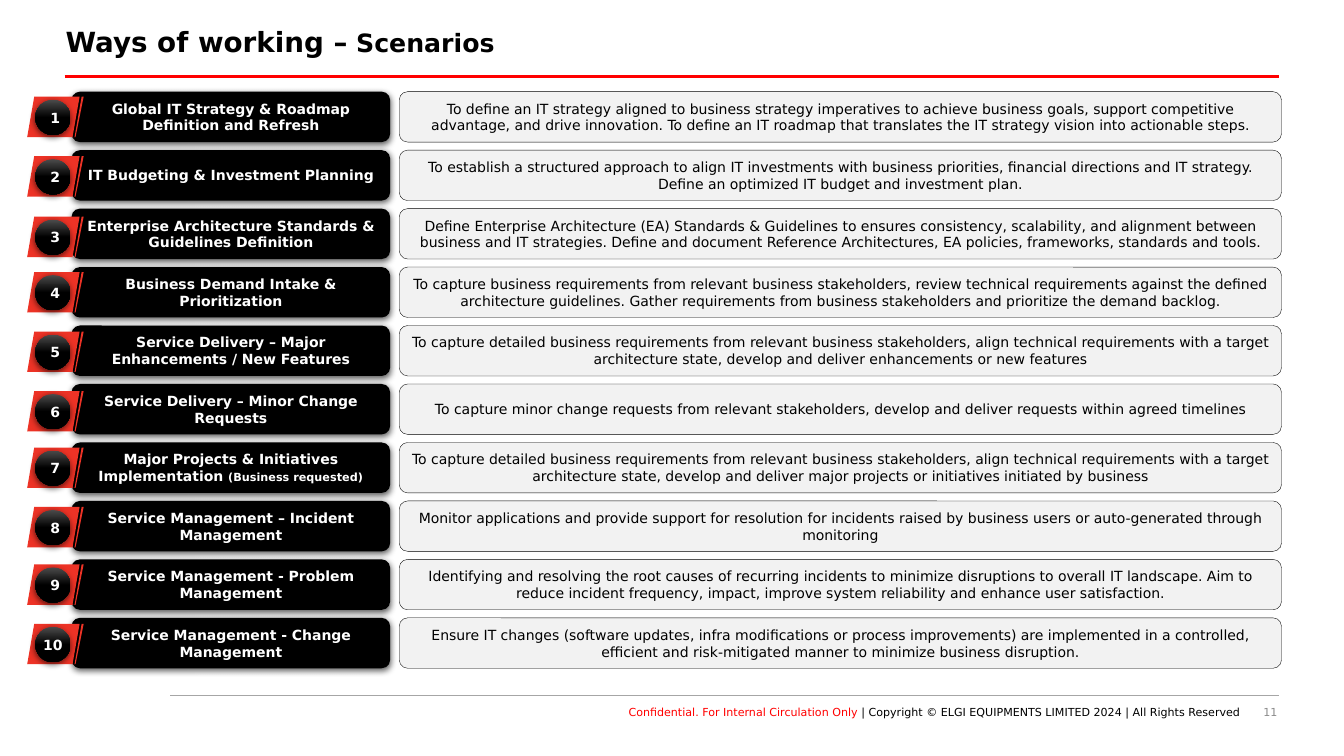
"""Build the 'Ways of working – Scenarios' slide with ten numbered scenarios."""
from dataclasses import dataclass

from lxml.etree import SubElement
from pptx import Presentation
from pptx.dml.color import RGBColor
from pptx.enum.shapes import MSO_CONNECTOR, MSO_SHAPE
from pptx.enum.text import MSO_ANCHOR, MSO_AUTO_SIZE, PP_ALIGN
from pptx.oxml.ns import qn
from pptx.shapes.autoshape import Shape
from pptx.slide import Slide
from pptx.util import Inches, Pt

FONT = "DejaVu Sans"
BLACK, WHITE, RED = "000000", "FFFFFF", "FF0000"
BADGE_RED, PANEL_GREY, RULE_GREY, NUMBER_GREY = "ED3326", "F2F2F2", "A6A6A6", "8C8C8C"
FIRST_ROW, ROW_STEP, ROW_HEIGHT = 0.91, 0.58, 0.5
BADGE_HEIGHT, BALL_OFFSET, BALL_SIZE = 0.4, 0.03, 0.35
TAG_OUTLINE = [(0.81, 0), (0.74, 1), (0.72, 1), (0.79, 0),
               (0.34, 0), (0.27, 1), (0.75, 1), (0.83, 0)]


@dataclass
class Words:
    text: str
    size: float = 10
    color: str = BLACK
    bold: bool = False


@dataclass
class Scenario:
    badge_top: float
    name: str
    purpose: str
    remark: str = ""


SCENARIOS = [
    Scenario(0.96, "Global IT Strategy & Roadmap Definition and Refresh",
             "To define an IT strategy aligned to business strategy imperatives to achieve business goals, "
             "support competitive advantage, and drive innovation. To define an IT roadmap that translates "
             "the IT strategy vision into actionable steps."),
    Scenario(1.55, "IT Budgeting & Investment Planning",
             "To establish a structured approach to align IT investments with business priorities, financial "
             "directions and IT strategy. Define an optimized IT budget and investment plan."),
    Scenario(2.15, "Enterprise Architecture Standards & Guidelines Definition",
             "Define Enterprise Architecture (EA) Standards & Guidelines to ensures consistency, scalability, "
             "and alignment between business and IT strategies. Define and document Reference Architectures, "
             "EA policies, frameworks, standards and tools."),
    Scenario(2.7, "Business Demand Intake & Prioritization",
             "To capture business requirements from relevant business stakeholders, review technical "
             "requirements against the defined architecture guidelines. Gather requirements from business "
             "stakeholders and prioritize the demand backlog."),
    Scenario(3.29, "Service Delivery – Major Enhancements / New Features",
             "To capture detailed business requirements from relevant business stakeholders, align technical "
             "requirements with a target architecture state, develop and deliver enhancements or new features"),
    Scenario(3.88, "Service Delivery – Minor Change Requests",
             "To capture minor change requests from relevant stakeholders, develop and deliver requests "
             "within agreed timelines"),
    Scenario(4.44, "Major Projects & Initiatives Implementation ",
             "To capture detailed business requirements from relevant business stakeholders, align technical "
             "requirements with a target architecture state, develop and deliver major projects or "
             "initiatives initiated by business",
             "(Business requested)"),
    Scenario(5.03, "Service Management – Incident Management",
             "Monitor applications and provide support for resolution for incidents raised by business users "
             "or auto-generated through monitoring"),
    Scenario(5.6, "Service Management - Problem Management",
             "Identifying and resolving the root causes of recurring incidents to minimize disruptions to "
             "overall IT landscape. Aim to reduce incident frequency, impact, improve system reliability "
             "and enhance user satisfaction."),
    Scenario(6.19, "Service Management - Change Management",
             "Ensure IT changes (software updates, infra modifications or process improvements) are "
             "implemented in a controlled, efficient and risk-mitigated manner to minimize business disruption."),
]


def rgb(color: str) -> RGBColor:
    """Turn a hex string into a colour."""
    return RGBColor.from_string(color)


def apply(target: object, values: dict) -> None:
    """Set every attribute in a dict of format values."""
    for name, value in values.items():
        setattr(target, name, value)


def write(holder: Shape, words: list[Words], align: PP_ALIGN, anchor: MSO_ANCHOR,
          margins: tuple[float, float, float, float] = (0.1, 0.05, 0.1, 0.05)) -> None:
    """Fill a shape with one paragraph of formatted runs."""
    left, top, right, bottom = map(Inches, margins)
    frame = holder.text_frame
    apply(frame, {"word_wrap": True, "auto_size": MSO_AUTO_SIZE.NONE, "vertical_anchor": anchor,
                  "margin_left": left, "margin_top": top, "margin_right": right, "margin_bottom": bottom})
    frame.paragraphs[0].alignment = align
    for part in words:
        run = frame.paragraphs[0].add_run()
        run.text = part.text
        apply(run.font, {"name": FONT, "size": Pt(part.size), "bold": part.bold})
        run.font.color.rgb = rgb(part.color)


def add_panel(slide: Slide, kind: MSO_SHAPE, left: float, top: float, width: float, height: float,
              fill: str, outline: str = "") -> Shape:
    """Add a flat preset shape, with a hairline if an outline colour is given."""
    panel = slide.shapes.add_shape(kind, Inches(left), Inches(top), Inches(width), Inches(height))
    paint(panel, fill)
    if outline:
        panel.line.color.rgb = rgb(outline)
        panel.line.width = Pt(0.25)
    return panel


def paint(panel: Shape, fill: str) -> None:
    """Give a shape a solid fill with no line and no shadow."""
    panel.fill.solid()
    panel.fill.fore_color.rgb = rgb(fill)
    panel.line.fill.background()
    panel.shadow.inherit = False


def cast_shadow(panel: Shape) -> None:
    """Add a soft black shadow below a shape."""
    effects = panel.element.spPr.find(qn("a:effectLst"))
    shadow = SubElement(effects, qn("a:outerShdw"), blurRad=str(Pt(4.5)), dist=str(Pt(1.5)),
                        dir="5400000", algn="ctr", rotWithShape="0")
    tint = SubElement(shadow, qn("a:srgbClr"), val=BLACK)
    SubElement(tint, qn("a:alpha"), val="63000")


def add_rule(slide: Slide, left: float, right: float, y: float, color: str, weight: float) -> None:
    """Draw a horizontal rule."""
    rule = slide.shapes.add_connector(MSO_CONNECTOR.STRAIGHT, Inches(left), Inches(y), Inches(right), Inches(y))
    rule.line.color.rgb = rgb(color)
    rule.line.width = Pt(weight)
    SubElement(rule.element.spPr, qn("a:effectLst"))


def add_footer(slide: Slide, left: float, width: float, words: list[Words]) -> None:
    """Add right-aligned footer text."""
    footer = slide.shapes.add_textbox(Inches(left), Inches(7), Inches(width), Inches(0.2))
    write(footer, words, PP_ALIGN.RIGHT, MSO_ANCHOR.TOP, (0, 0, 0, 0))


def add_bars(slide: Slide, row: int, scenario: Scenario) -> None:
    """Add the name bar and the purpose bar of a scenario."""
    top = FIRST_ROW + row * ROW_STEP
    name_bar = add_panel(slide, MSO_SHAPE.ROUNDED_RECTANGLE, 0.71, top, 3.16, ROW_HEIGHT, BLACK)
    cast_shadow(name_bar)
    words = [Words(scenario.name, color=WHITE, bold=True)]
    if scenario.remark:
        words.append(Words(scenario.remark, 8, WHITE, True))
    write(name_bar, words, PP_ALIGN.CENTER, MSO_ANCHOR.MIDDLE)
    purpose_bar = add_panel(slide, MSO_SHAPE.ROUNDED_RECTANGLE, 3.96, top, 8.75, ROW_HEIGHT, PANEL_GREY, BLACK)
    write(purpose_bar, [Words(scenario.purpose)], PP_ALIGN.CENTER, MSO_ANCHOR.MIDDLE)


def add_badge(slide: Slide, number: int, top: float) -> None:
    """Add the red slanted tag and the numbered ball."""
    corners = [(Inches(x), Inches(top + BADGE_HEIGHT * y)) for x, y in TAG_OUTLINE]
    outline = slide.shapes.build_freeform(*corners[0])
    outline.add_line_segments(corners[1:], close=True)
    paint(outline.convert_to_shape(), BADGE_RED)
    ball = add_panel(slide, MSO_SHAPE.OVAL, 0.35, top + BALL_OFFSET, BALL_SIZE, BALL_SIZE, BLACK)
    ball.fill.gradient()
    ball.fill.gradient_angle = 270
    for stop, (position, color) in zip(ball.fill.gradient_stops, [(0, "4B4B4B"), (0.5, BLACK)]):
        stop.position = position
        stop.color.rgb = rgb(color)
    cast_shadow(ball)
    margin = 0.1 if number < 10 else 0
    write(ball, [Words(str(number), color=WHITE, bold=True)], PP_ALIGN.CENTER, MSO_ANCHOR.MIDDLE, (margin,) * 4)


def main() -> None:
    """Build and save the slide."""
    deck = Presentation()
    apply(deck, {"slide_width": Inches(13.33), "slide_height": Inches(7.5)})
    slide = deck.slides.add_slide(deck.slide_layouts[5])
    add_footer(slide, 9.67, 3, [Words("11", 7.9, NUMBER_GREY)])
    add_footer(slide, 2.46, 9.84, [
        Words("Conﬁdential. For Internal Circulation Only ", 7.9, RED),
        Words("| Copyright © ELGI EQUIPMENTS LIMITED 2024 | All Rights Reserved", 7.9)])
    add_rule(slide, 1.69, 12.69, 6.9, RULE_GREY, 0.5)
    add_rule(slide, 0.64, 12.69, 0.76, RED, 2.25)
    heading = slide.shapes.title
    apply(heading, {"left": Inches(0.65), "top": Inches(0.23), "width": Inches(12.01), "height": Inches(0.41)})
    write(heading, [Words("Ways of working –", 19.8, bold=True), Words(" Scenarios", 18, bold=True)],
          PP_ALIGN.LEFT, MSO_ANCHOR.TOP, (0, 0.05, 0.1, 0.05))
    heading.text_frame.paragraphs[0].line_spacing = 0.9
    for row, scenario in enumerate(SCENARIOS):
        add_bars(slide, row, scenario)
    for number, scenario in enumerate(SCENARIOS, 1):
        add_badge(slide, number, scenario.badge_top)
    deck.save("out.pptx")


if __name__ == "__main__":
    main()
